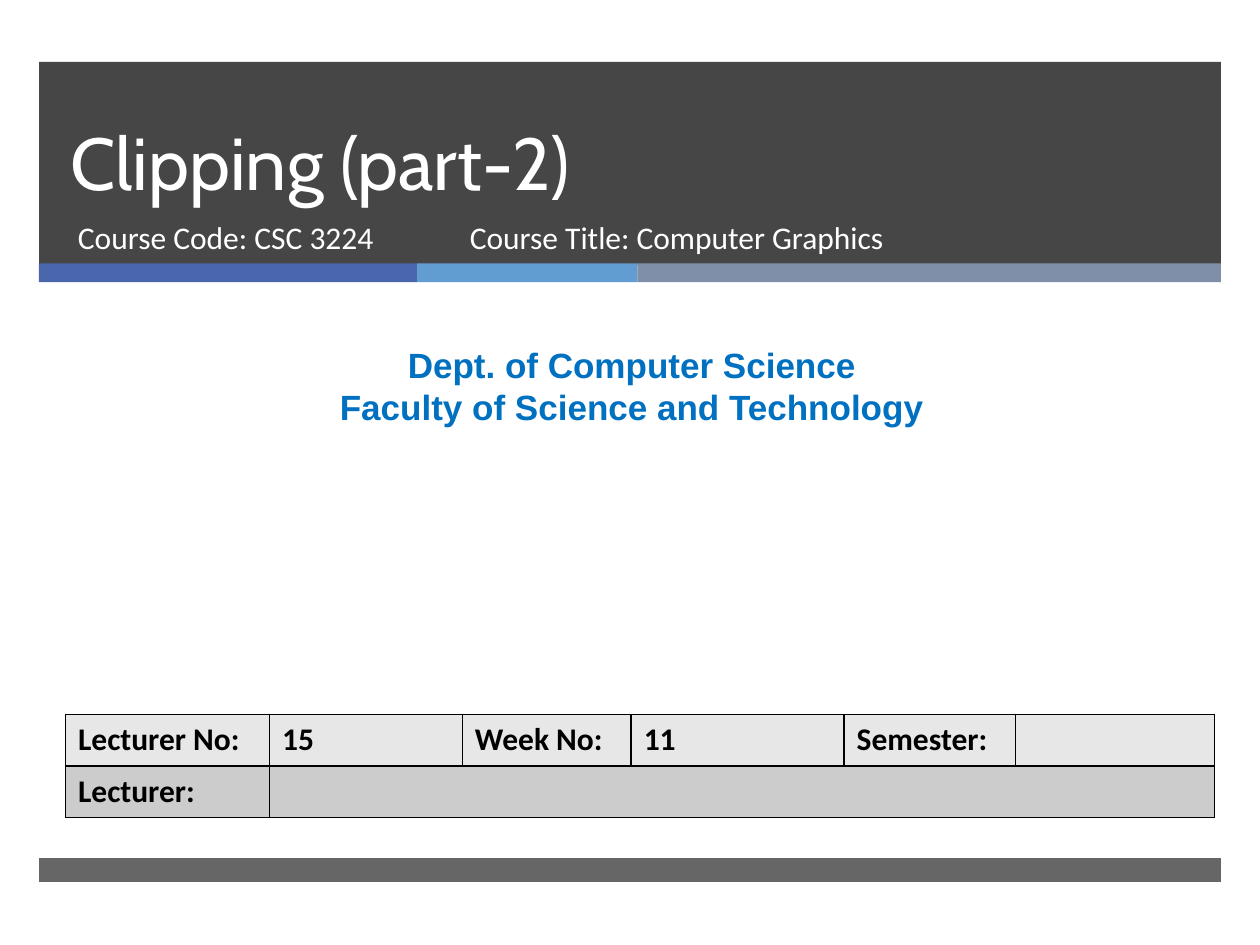
"""Build the title slide of the Clipping (part-2) lecture."""
from typing import NamedTuple

from lxml.etree import SubElement
from pptx import Presentation
from pptx.dml.color import RGBColor
from pptx.enum.shapes import MSO_SHAPE
from pptx.enum.text import MSO_ANCHOR as Anchor, PP_ALIGN as Align
from pptx.oxml.ns import qn
from pptx.util import Inches, Pt


class Band(NamedTuple):
    left: float
    top: float
    width: float
    height: float
    color: str
    opacity: int = 100


class Label(NamedTuple):
    left: float
    top: float
    width: float
    height: float
    lines: list[str]
    style: dict


BANDS = [
    Band(0.31, 0.49, 9.38, 1.61, "262626", 85),
    Band(0.31, 2.09, 3, 0.15, "4A66AC"),
    Band(3.31, 2.09, 1.75, 0.15, "629DD1"),
    Band(5.06, 2.09, 4.63, 0.15, "7F8FA9"),
    Band(0.31, 6.81, 9.38, 0.19, "262626", 70),
]
COURSE = dict(size=18, font="Calibri", color="FFFFFF")
LABELS = [
    Label(0.46, 0.49, 8.54, 1.19, ["Clipping (part-2)"],
          dict(size=42, font="Cabin", color="FFFFFF", spacing=46, anchor=Anchor.BOTTOM)),
    Label(0.52, 1.68, 3.05, 0.53, ["Course Code: CSC 3224"], COURSE),
    Label(3.63, 1.68, 4.55, 0.53, ["Course Title: Computer Graphics"], COURSE),
    Label(0.08, 2.68, 9.87, 0.77,
          ["Dept. of Computer Science", "Faculty of Science and Technology"],
          dict(size=20, font="Arial", color="0070C0", bold=True, align=Align.CENTER)),
]
COLUMNS = [1.62, 1.53, 1.34, 1.69, 1.36, 1.58]
ROW_HEIGHT = 0.41
ROWS = [
    ("E7E7E7", ["Lecturer No:", "15", "Week No:", "11", "Semester:", ""]),
    ("CCCCCC", ["Lecturer:", "", "", "", "", ""]),
]


def rgb(color: str) -> RGBColor:
    return RGBColor.from_string(color)


def write(frame, lines: list[str], *, size: float, font: str, color: str, bold: bool = False,
          align: Align = Align.LEFT, anchor: Anchor = Anchor.TOP,
          spacing: float | None = None) -> None:
    frame.word_wrap = True
    frame.vertical_anchor = anchor
    for index, line in enumerate(lines):
        paragraph = frame.add_paragraph() if index else frame.paragraphs[0]
        paragraph.alignment = align
        if spacing:
            paragraph.line_spacing = Pt(spacing)
        run = paragraph.add_run()
        run.text = line
        run.font.size, run.font.name, run.font.bold = Pt(size), font, bold
        run.font.color.rgb = rgb(color)


def draw_band(slide, band: Band) -> None:
    bar = slide.shapes.add_shape(MSO_SHAPE.RECTANGLE, *map(Inches, band[:4]))
    bar.shadow.inherit = False
    bar.line.fill.background()
    bar.fill.solid()
    bar.fill.fore_color.rgb = rgb(band.color)
    if band.opacity < 100:
        tint = bar.fill._xPr.find(f".//{qn('a:srgbClr')}")
        SubElement(tint, qn("a:alpha"), val=str(band.opacity * 1000))


def draw_label(slide, label: Label) -> None:
    box = slide.shapes.add_textbox(*map(Inches, label[:4]))
    write(box.text_frame, label.lines, **label.style)


def border(cell, color: str, points: float) -> None:
    properties = cell._tc.get_or_add_tcPr()
    for index, side in enumerate(("a:lnL", "a:lnR", "a:lnT", "a:lnB")):
        line = properties.makeelement(qn(side), {"w": str(Pt(points))})
        SubElement(SubElement(line, qn("a:solidFill")), qn("a:srgbClr"), val=color)
        properties.insert(index, line)


def draw_lecture_table(slide) -> None:
    table = slide.shapes.add_table(
        len(ROWS), len(COLUMNS), Inches(0.52), Inches(5.67),
        Inches(sum(COLUMNS)), Inches(ROW_HEIGHT * len(ROWS))).table
    for column, width in zip(table.columns, COLUMNS):
        column.width = Inches(width)
    for r, (fill, texts) in enumerate(ROWS):
        table.rows[r].height = Inches(ROW_HEIGHT)
        for c, text in enumerate(texts):
            cell = table.cell(r, c)
            cell.fill.solid()
            cell.fill.fore_color.rgb = rgb(fill)
            border(cell, "000000", 1)
            if text:
                write(cell.text_frame, [text], size=18, font="Calibri", color="000000", bold=True)
    table.cell(1, 1).merge(table.cell(1, len(COLUMNS) - 1))


def main() -> None:
    deck = Presentation()
    deck.slide_width, deck.slide_height = Inches(10), Inches(7.5)
    slide = deck.slides.add_slide(deck.slide_layouts[6])
    for band in BANDS:
        draw_band(slide, band)
    for label in LABELS:
        draw_label(slide, label)
    draw_lecture_table(slide)
    deck.save("out.pptx")


if __name__ == "__main__":
    main()
